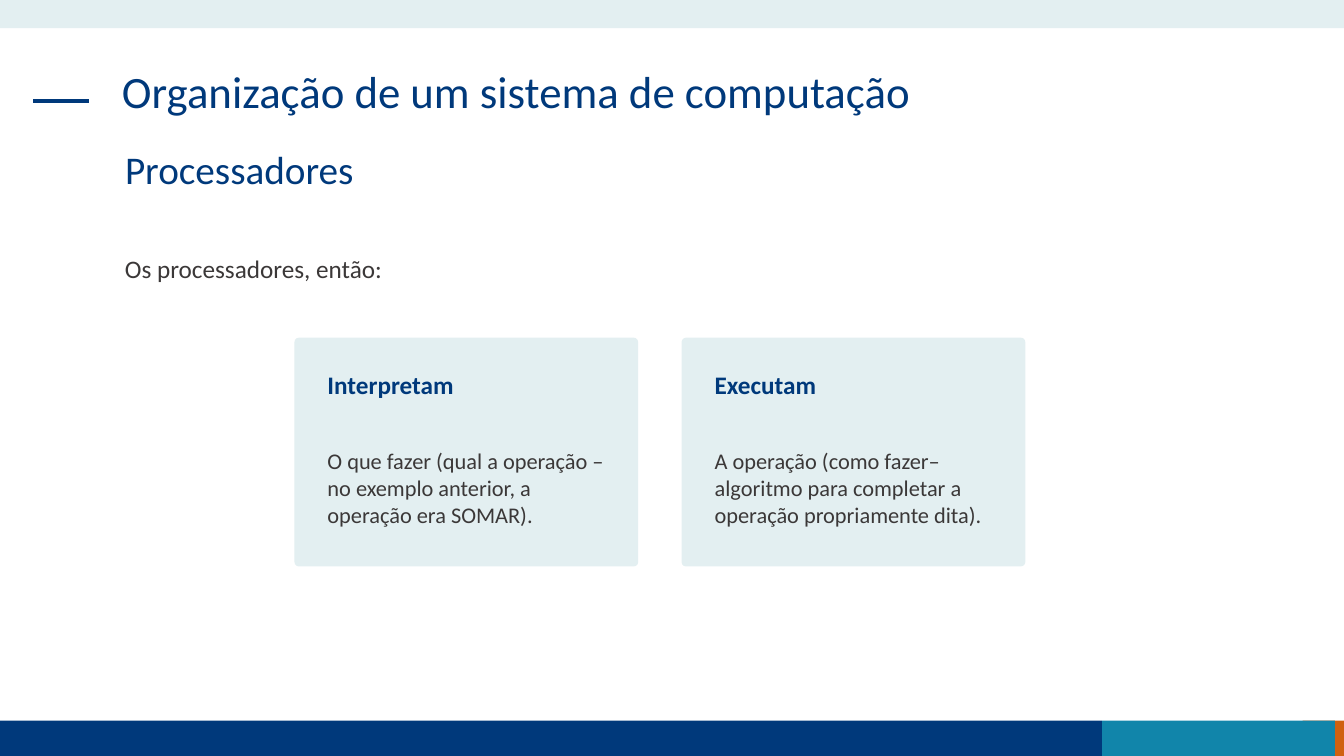
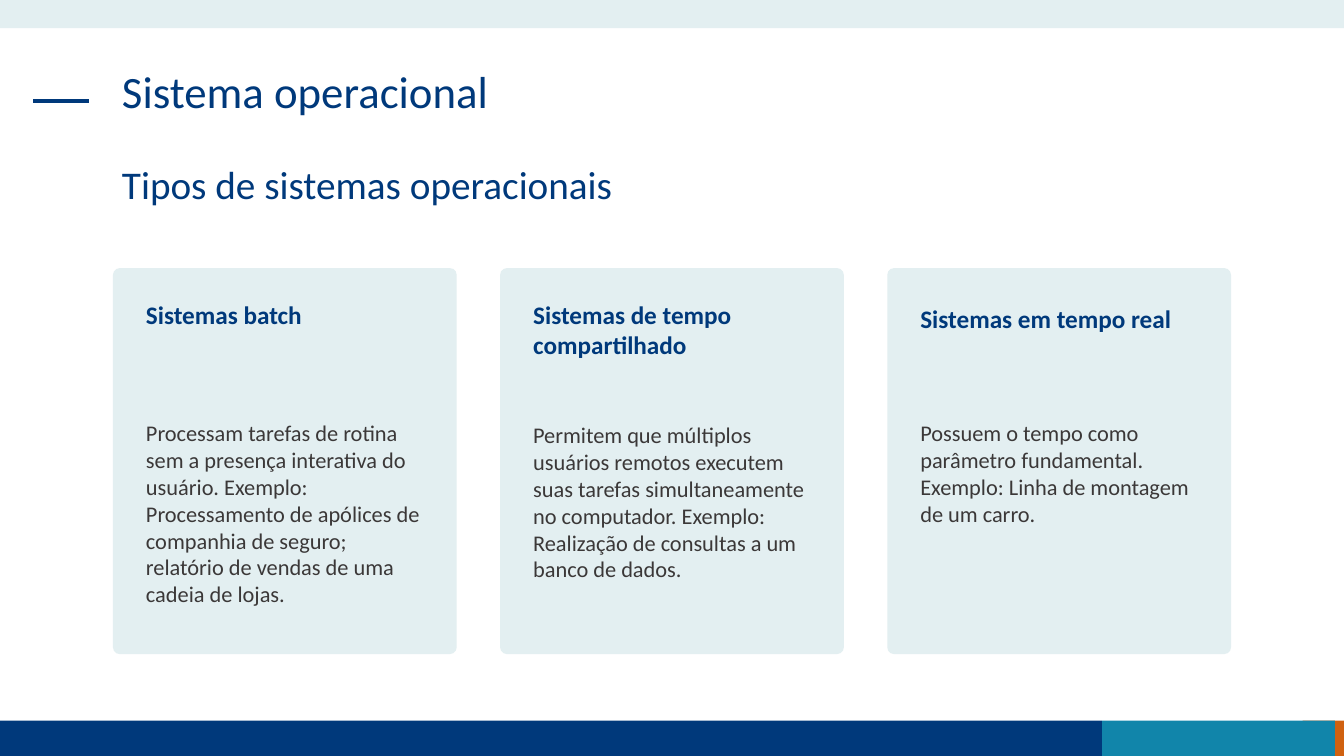
from lxml import etree
from pptx import Presentation
from pptx.dml.color import RGBColor
from pptx.enum.shapes import MSO_CONNECTOR, MSO_SHAPE
from pptx.enum.text import MSO_ANCHOR, MSO_AUTO_SIZE, PP_ALIGN
from pptx.oxml.ns import qn
from pptx.util import Inches, Pt

COLORS = {"navy": "00397B", "teal": "1185AA", "orange": "D06110", "mist": "E3EFF1", "text": "3B3838"}
FONT = "Calibri"
WIDTH, HEIGHT = 13.33, 7.5
FOOTER_TOP, FOOTER_HEIGHT = 7.15, 0.35
BANDS = [
    ("orange", 12.92, FOOTER_TOP, 0.41, FOOTER_HEIGHT),
    ("navy", 0, FOOTER_TOP, 10.93, FOOTER_HEIGHT),
    ("teal", 10.93, FOOTER_TOP, 2.31, FOOTER_HEIGHT),
    ("mist", 0, 0, WIDTH, 0.28),
]
TITLE_BOX = (1.11, 0.64, 11.1, 0.94)
CARD_WIDTH, CARD_GAP, CARD_PADDING = 3.41, 0.43, 0.23
CARD_TEXT_WIDTH = 2.96

SLIDES = [
    {
        "title": "Organização de um sistema de computação",
        "subtitle": "Processadores",
        "subtitle_at": (1.14, 1.44),
        "intro": "Os processadores, então:",
        "cards_at": (2.92, 3.35),
        "card_height": 2.27,
        "cards": [
            ("Interpretam", 3.61,
             "O que fazer (qual a operação – no exemplo anterior, a operação era SOMAR).", 4.39),
            ("Executam", 3.61,
             "A operação (como fazer– algoritmo para completar a operação propriamente dita).", 4.39),
        ],
    },
    {
        "title": "Sistema operacional",
        "subtitle": "Tipos de sistemas operacionais",
        "subtitle_at": (1.11, 1.59),
        "cards_at": (1.12, 2.66),
        "card_height": 3.83,
        "cards": [
            ("Sistemas batch", 2.92,
             "Processam tarefas de rotina sem a presença interativa do usuário. Exemplo: "
             "Processamento de apólices de companhia de seguro; relatório de vendas de uma "
             "cadeia de lojas.", 4.11),
            ("Sistemas de tempo compartilhado", 2.92,
             "Permitem que múltiplos usuários remotos executem suas tarefas simultaneamente "
             "no computador. Exemplo: Realização de consultas a um banco de dados.", 4.13),
            ("Sistemas em tempo real", 2.96,
             "Possuem o tempo como parâmetro fundamental. Exemplo: Linha de montagem "
             "de um carro.", 4.11),
        ],
    },
]


def color(name):
    return RGBColor.from_string(COLORS[name])


def write(box, text, size, fill="text", bold=False, spacing=None):
    frame = box.text_frame
    frame.word_wrap = True
    frame.auto_size = MSO_AUTO_SIZE.NONE
    frame.vertical_anchor = MSO_ANCHOR.TOP
    para = frame.paragraphs[0]
    para.alignment = PP_ALIGN.LEFT
    para.space_before = Pt(0)
    if spacing:
        para.line_spacing = spacing
    span = para.add_run()
    span.text = text
    span.font.name = FONT
    span.font.size = Pt(size)
    span.font.bold = bold
    span.font.color.rgb = color(fill)


def place(box, left, top, width, height):
    box.left, box.top = Inches(left), Inches(top)
    box.width, box.height = Inches(width), Inches(height)


def add_text(shapes, text, left, top, width, height, **style):
    box = shapes.add_textbox(Inches(left), Inches(top), Inches(width), Inches(height))
    write(box, text, **style)


def add_block(shapes, kind, fill, left, top, width, height):
    block = shapes.add_shape(kind, Inches(left), Inches(top), Inches(width), Inches(height))
    block.shadow.inherit = False
    block.fill.solid()
    block.fill.fore_color.rgb = color(fill)
    block.line.fill.background()
    return block


def decorate_layout(layout, page):
    parts = [add_block(page.shapes, MSO_SHAPE.RECTANGLE, *band) for band in BANDS]
    dash = page.shapes.add_connector(
        MSO_CONNECTOR.STRAIGHT, Inches(0.33), Inches(1), Inches(0.88), Inches(1))
    dash.line.color.rgb = color("navy")
    dash.line.width = Pt(3)
    etree.SubElement(dash.element.spPr, qn("a:effectLst"))
    for number, part in enumerate(parts + [dash], start=100):
        part.element.xpath(".//p:cNvPr")[0].set("id", str(number))
        layout.shapes.element.append(part.element)


def add_headings(page, content):
    title, subtitle = page.shapes.title, page.placeholders[1]
    place(title, *TITLE_BOX)
    write(title, content["title"], size=32, fill="navy", spacing=0.9)
    place(subtitle, *content["subtitle_at"], *TITLE_BOX[2:])
    properties = subtitle.text_frame.paragraphs[0]._p.get_or_add_pPr()
    properties.set("marL", "0")
    properties.set("indent", "0")
    etree.SubElement(properties, qn("a:buNone"))
    write(subtitle, content["subtitle"], size=28, fill="navy", spacing=0.9)


def add_cards(page, content):
    first_left, top = content["cards_at"]
    for index, (heading, heading_top, body, body_top) in enumerate(content["cards"]):
        left = first_left + index * (CARD_WIDTH + CARD_GAP)
        bottom = top + content["card_height"]
        text_left = left + CARD_PADDING
        shapes = page.shapes.add_group_shape().shapes
        card = add_block(shapes, MSO_SHAPE.ROUNDED_RECTANGLE, "mist",
                         left, top, CARD_WIDTH, content["card_height"])
        card.adjustments[0] = 0.02
        add_text(shapes, heading, text_left, heading_top, CARD_TEXT_WIDTH, 0.71,
                 size=18, fill="navy", bold=True)
        add_text(shapes, body, text_left, body_top, CARD_TEXT_WIDTH,
                 bottom - CARD_PADDING - body_top, size=16)


def main():
    deck = Presentation()
    deck.slide_width, deck.slide_height = Inches(WIDTH), Inches(HEIGHT)
    layout = deck.slide_layouts.get_by_name("Title and Content")
    pages = [deck.slides.add_slide(layout) for _ in SLIDES]
    decorate_layout(layout, pages[0])
    for page, content in zip(pages, SLIDES):
        add_headings(page, content)
        if "intro" in content:
            add_text(page.shapes, content["intro"], 1.14, 2.46, 10.84, 0.4, size=18)
        add_cards(page, content)
    deck.save("out.pptx")


if __name__ == "__main__":
    main()
